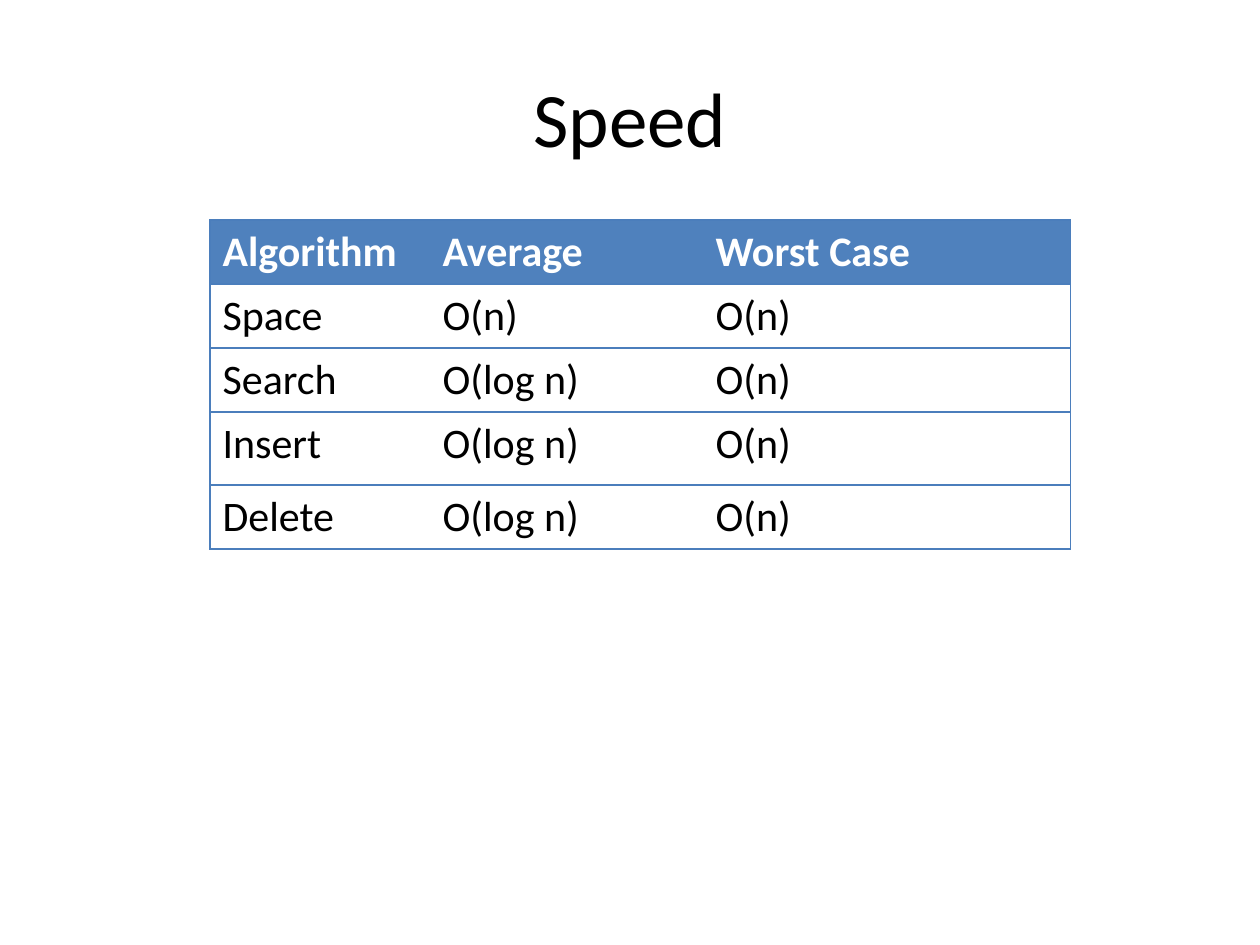
from lxml.etree import SubElement
from pptx import Presentation
from pptx.dml.color import RGBColor
from pptx.enum.text import MSO_ANCHOR, PP_ALIGN
from pptx.oxml.ns import qn
from pptx.util import Pt

PX = 914400 // 126
BLUE = RGBColor(0x4F, 0x81, 0xBD)
BORDER = RGBColor(0x4B, 0x7E, 0xBC)
WHITE = RGBColor(0xFF, 0xFF, 0xFF)
BLACK = RGBColor(0x00, 0x00, 0x00)

COL_WIDTHS = [220, 273, 368]
ROW_HEIGHTS = [64, 64, 64, 73, 64]
ROWS = [
    ["Algorithm", "Average", "Worst Case"],
    ["Space", "O(n)", "O(n)"],
    ["Search", "O(log n)", "O(n)"],
    ["Insert", "O(log n)", "O(n)"],
    ["Delete", "O(log n)", "O(n)"],
]


def format_run(r, color, **values):
    for name, value in {"name": "Calibri", **values}.items():
        setattr(r.font, name, value)
    r.font.color.rgb = color


def set_borders(cell, sides):
    """Draw the given sides and clear the others, ahead of the cell fill."""
    tc_pr = cell._tc.get_or_add_tcPr()
    for i, side in enumerate("LRTB"):
        ln = SubElement(tc_pr, qn(f"a:ln{side}"), w=str(Pt(0.75)))
        if side in sides:
            fill = SubElement(ln, qn("a:solidFill"))
            SubElement(fill, qn("a:srgbClr"), val=str(BORDER))
        else:
            SubElement(ln, qn("a:noFill"))
        tc_pr.insert(i, ln)


prs = Presentation()
prs.slide_width, prs.slide_height = 1260 * PX, 945 * PX
s = prs.slides.add_slide(prs.slide_layouts[5])

# Title
title = s.shapes.title
box = {"left": 63, "top": 38, "width": 1134, "height": 157}
for name, value in box.items():
    setattr(title, name, value * PX)
tf = title.text_frame
tf.vertical_anchor = MSO_ANCHOR.MIDDLE
p = tf.paragraphs[0]
p.alignment = PP_ALIGN.CENTER
r = p.add_run()
r.text = "Speed"
format_run(r, BLACK, size=Pt(44))

# Table grid
table = s.shapes.add_table(
    len(ROWS), len(COL_WIDTHS), 210 * PX, 220 * PX,
    sum(COL_WIDTHS) * PX, sum(ROW_HEIGHTS) * PX).table
table.horz_banding = False
for col, width in zip(table.columns, COL_WIDTHS):
    col.width = width * PX
for row, height in zip(table.rows, ROW_HEIGHTS):
    row.height = height * PX

# Cells: ruled rows inside an outer frame, no inner vertical lines
for i, texts in enumerate(ROWS):
    header = i == 0
    for j, text in enumerate(texts):
        cell = table.cell(i, j)
        if header:
            cell.fill.solid()
            cell.fill.fore_color.rgb = BLUE
        else:
            cell.fill.background()
        outer = {0: "L", len(texts) - 1: "R"}.get(j, "")
        set_borders(cell, "TB" + outer)
        r = cell.text_frame.paragraphs[0].add_run()
        r.text = text
        format_run(r, WHITE if header else BLACK, size=Pt(24), bold=header)

prs.save("out.pptx")
